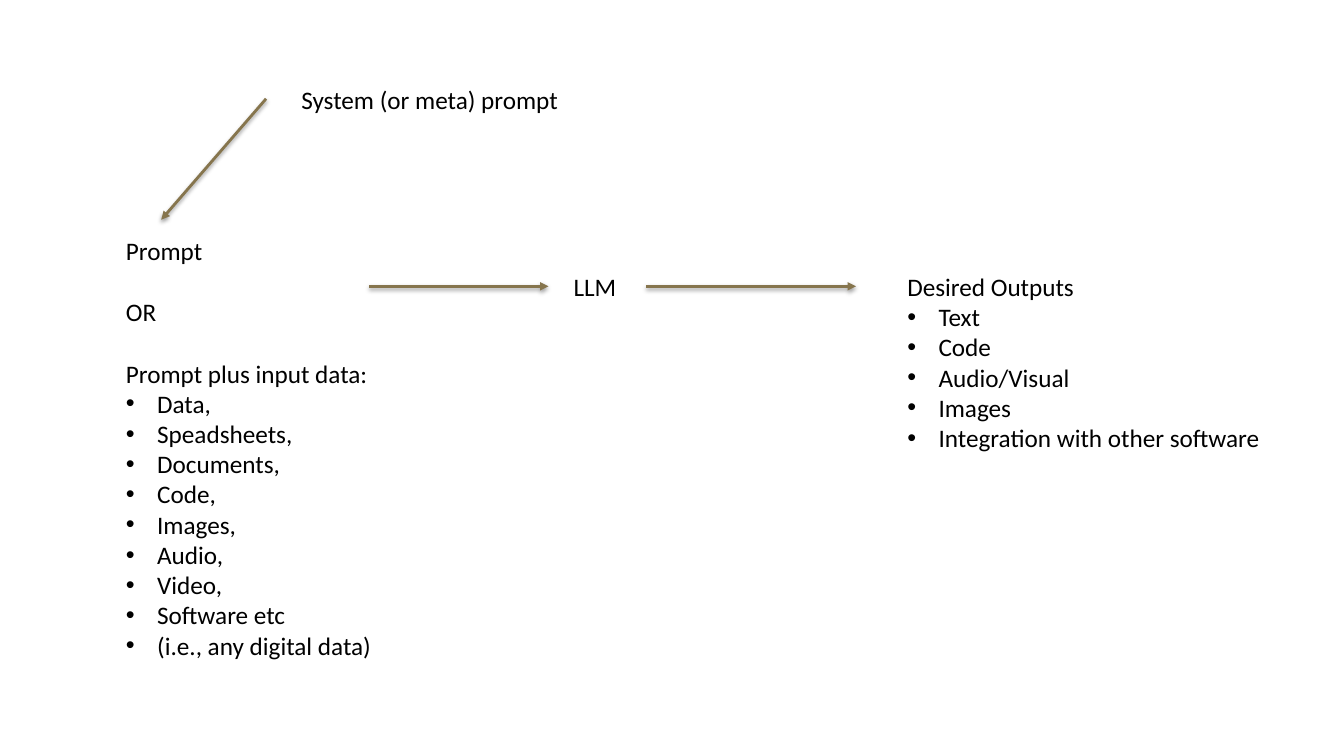
from lxml.etree import SubElement
from pptx import Presentation
from pptx.dml.color import RGBColor
from pptx.enum.shapes import MSO_CONNECTOR
from pptx.enum.text import MSO_AUTO_SIZE
from pptx.oxml.ns import qn
from pptx.util import Inches, Pt

BLACK = RGBColor(0x00, 0x00, 0x00)
BRONZE = RGBColor(0x86, 0x75, 0x4D)
FONT = "Calibri"
TEXT_SIZE = Pt(18)
LINE_GAP = Pt(22)
BULLET_INDENT = Inches(0.31)

SLIDE_WIDTH, SLIDE_HEIGHT = Inches(13.33), Inches(7.5)
# The grid has 100 columns and 100 rows
COLUMN, ROW = SLIDE_WIDTH / 100, SLIDE_HEIGHT / 100
FLOW_ROW = 37.87    # height of the horizontal arrows
OUTPUT_ROW = 35.2   # top of the model and its outputs
LINE_ROWS = 5.33    # box height for one line of text

INPUT_HEADINGS = ["Prompt", "OR", "Prompt plus input data:"]
INPUT_KINDS = ["Data,", "Speadsheets,", "Documents,", "Code,", "Images,",
               "Audio,", "Video,", "Software etc", "(i.e., any digital data)"]
OUTPUT_KINDS = ["Text", "Code", "Audio/Visual", "Images",
                "Integration with other software"]


def across(columns):
    return round(columns * COLUMN)


def down(rows):
    return round(rows * ROW)


def add_bullet(paragraph):
    properties = paragraph._p.get_or_add_pPr()
    properties.set("marL", str(BULLET_INDENT))
    properties.set("indent", str(-BULLET_INDENT))
    SubElement(properties, qn("a:buFont"), typeface="Arial")
    SubElement(properties, qn("a:buChar"), char="•")


def add_label(slide, left, top, width, height, headings, bullets=()):
    """Headings a blank line apart, followed by a bulleted list."""
    label = slide.shapes.add_textbox(across(left), down(top),
                                     across(width), down(height))
    frame = label.text_frame
    frame.text = "\n".join([*headings, *bullets])
    frame.word_wrap = False
    frame.auto_size = MSO_AUTO_SIZE.SHAPE_TO_FIT_TEXT
    for index, paragraph in enumerate(frame.paragraphs):
        if index >= len(headings):
            add_bullet(paragraph)
        elif index > 0:
            paragraph.space_before = LINE_GAP
        for run in paragraph.runs:
            run.font.name = FONT
            run.font.size = TEXT_SIZE
            run.font.color.rgb = BLACK


def add_arrow(slide, start, end):
    """Arrow with a soft shadow below it, between two grid points."""
    arrow = slide.shapes.add_connector(
        MSO_CONNECTOR.STRAIGHT, across(start[0]), down(start[1]),
        across(end[0]), down(end[1]))
    arrow.line.color.rgb = BRONZE
    arrow.line.width = Pt(2)
    SubElement(arrow.line._get_or_add_ln(), qn("a:tailEnd"), type="triangle")
    effects = SubElement(arrow._element.spPr, qn("a:effectLst"))
    shadow = SubElement(effects, qn("a:outerShdw"), blurRad=str(Pt(3.1)),
                        dist=str(Pt(1.6)), dir="5400000", rotWithShape="0")
    shade = SubElement(shadow, qn("a:srgbClr"), val=str(BLACK))
    SubElement(shade, qn("a:alpha"), val="38000")


def main():
    presentation = Presentation()
    presentation.slide_width = SLIDE_WIDTH
    presentation.slide_height = SLIDE_HEIGHT
    slide = presentation.slides.add_slide(presentation.slide_layouts[6])

    # Inputs
    add_label(slide, 8.63, 30.53, 20.4, 57.87, INPUT_HEADINGS, INPUT_KINDS)
    add_arrow(slide, (27.46, FLOW_ROW), (40.81, FLOW_ROW))

    # Model
    add_label(slide, 41.94, OUTPUT_ROW, 4.73, LINE_ROWS, ["LLM"])
    add_arrow(slide, (48.09, FLOW_ROW), (63.69, FLOW_ROW))

    # Outputs
    add_label(slide, 66.77, OUTPUT_ROW, 28.06, 25.6,
              ["Desired Outputs"], OUTPUT_KINDS)

    # System prompt feeding the prompt
    add_arrow(slide, (19.8, 13.07), (12, 29.07))
    add_label(slide, 21.68, 10.53, 20.86, LINE_ROWS,
              ["System (or meta) prompt"])

    presentation.save("out.pptx")


if __name__ == "__main__":
    main()
